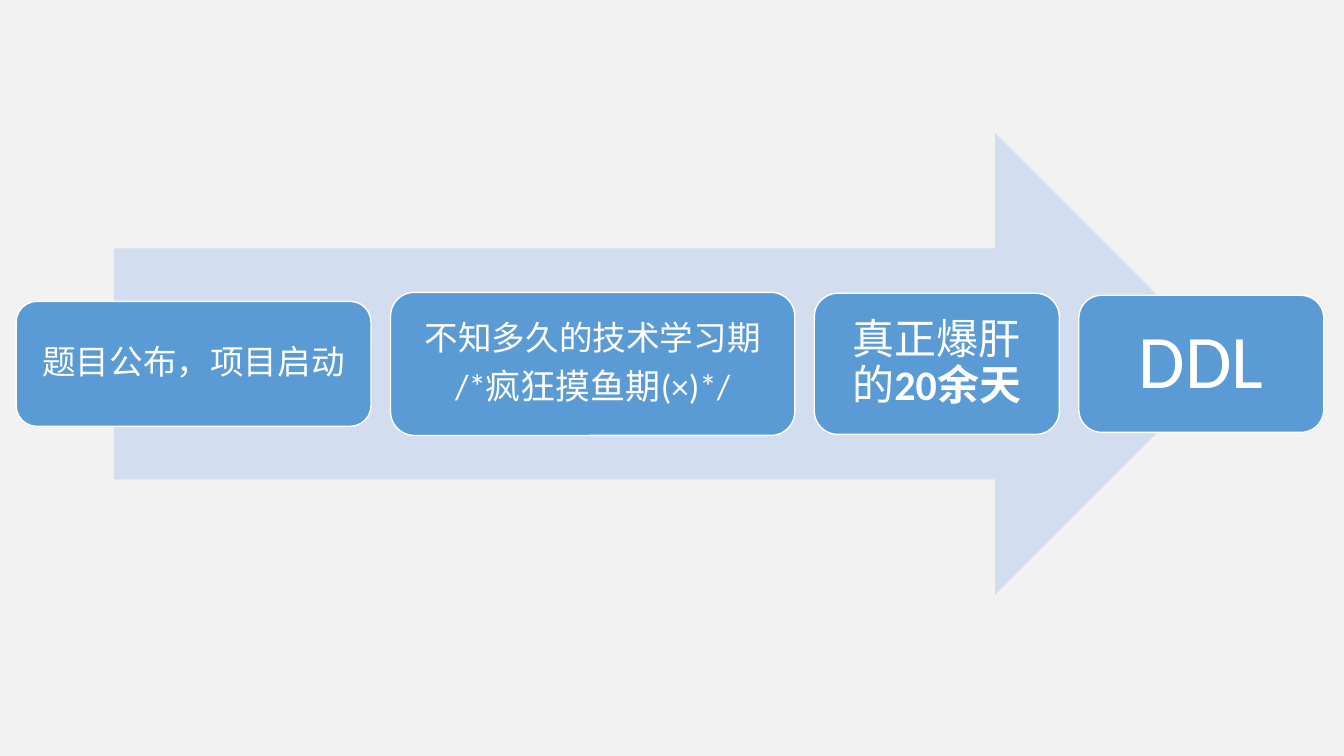
from pptx import Presentation
from pptx.dml.color import RGBColor
from pptx.enum.lang import MSO_LANGUAGE_ID
from pptx.enum.shapes import MSO_SHAPE
from pptx.enum.text import MSO_ANCHOR, PP_ALIGN
from pptx.util import Inches, Pt

THEME = {
    "font": "Calibri",
    "background": RGBColor.from_string("F2F2F2"),
    "arrow": RGBColor.from_string("D2DEEF"),
    "card": RGBColor.from_string("5B9BD5"),
    "white": RGBColor.from_string("FFFFFF"),
    "sizes": {"small": 24, "note": 25, "medium": 30, "large": 54},
    "line_spacing": 0.9,
    "space_after": 0.35,
}

# Each stage holds paragraphs of (size, runs); each run is (text, bold).
STAGES = [
    {"width": 3.52, "height": 1.24, "inset": 0.1,
     "paragraphs": [("small", [("题目公布，项目启动", False)])]},
    {"width": 4.01, "height": 1.42, "inset": 0.1,
     "paragraphs": [("small", [("不知多久的技术学习期", False)]),
                    ("note", [("/*疯狂摸鱼期(×)*/", False)])]},
    {"width": 2.43, "height": 1.4, "inset": 0.12,
     "paragraphs": [("medium", [("真正爆肝的", False), ("20余天", True)])]},
    {"width": 2.43, "height": 1.36, "inset": 0.23,
     "paragraphs": [("large", [("DDL", False)])]},
]

SLIDE_WIDTH, SLIDE_HEIGHT = 13.33, 7.5
ARROW_LEFT, ARROW_WIDTH, ARROW_HEIGHT = 1.13, 11.03, 4.58
ROW_LEFT, ROW_RIGHT, ROW_MIDDLE = 0.16, 13.13, 3.61


def add_centred_shape(slide, kind, left, width, height, color):
    """Add a filled shape whose middle lies on the row."""
    shape = slide.shapes.add_shape(
        kind, Inches(left), Inches(ROW_MIDDLE - height / 2), Inches(width), Inches(height))
    shape.shadow.inherit = False
    shape.fill.solid()
    shape.fill.fore_color.rgb = color
    return shape


def fill_text(frame, stage):
    frame.word_wrap = True
    frame.vertical_anchor = MSO_ANCHOR.MIDDLE
    frame.margin_left = frame.margin_right = Inches(stage["inset"])
    frame.margin_top = frame.margin_bottom = Inches(stage["inset"])
    for index, (size_name, runs) in enumerate(stage["paragraphs"]):
        size = THEME["sizes"][size_name]
        paragraph = frame.add_paragraph() if index else frame.paragraphs[0]
        paragraph.alignment = PP_ALIGN.CENTER
        paragraph.line_spacing = THEME["line_spacing"]
        paragraph.space_after = Pt(size * THEME["space_after"])
        for text, bold in runs:
            run = paragraph.add_run()
            run.text = text
            run.font.name = THEME["font"]
            run.font.size = Pt(size)
            run.font.bold = bold
            run.font.color.rgb = THEME["white"]
            run.font.language_id = MSO_LANGUAGE_ID.SIMPLIFIED_CHINESE


def main():
    presentation = Presentation()
    presentation.slide_width = Inches(SLIDE_WIDTH)
    presentation.slide_height = Inches(SLIDE_HEIGHT)
    slide = presentation.slides.add_slide(presentation.slide_layouts[6])
    slide.background.fill.solid()
    slide.background.fill.fore_color.rgb = THEME["background"]

    arrow = add_centred_shape(slide, MSO_SHAPE.RIGHT_ARROW, ARROW_LEFT,
                              ARROW_WIDTH, ARROW_HEIGHT, THEME["arrow"])
    arrow.line.fill.background()

    total_width = sum(stage["width"] for stage in STAGES)
    gap = (ROW_RIGHT - ROW_LEFT - total_width) / (len(STAGES) - 1)
    left = ROW_LEFT
    for stage in STAGES:
        card = add_centred_shape(slide, MSO_SHAPE.ROUNDED_RECTANGLE, left,
                                 stage["width"], stage["height"], THEME["card"])
        card.line.color.rgb = THEME["white"]
        card.line.width = Pt(1)
        fill_text(card.text_frame, stage)
        left += stage["width"] + gap

    presentation.save("out.pptx")


if __name__ == "__main__":
    main()
